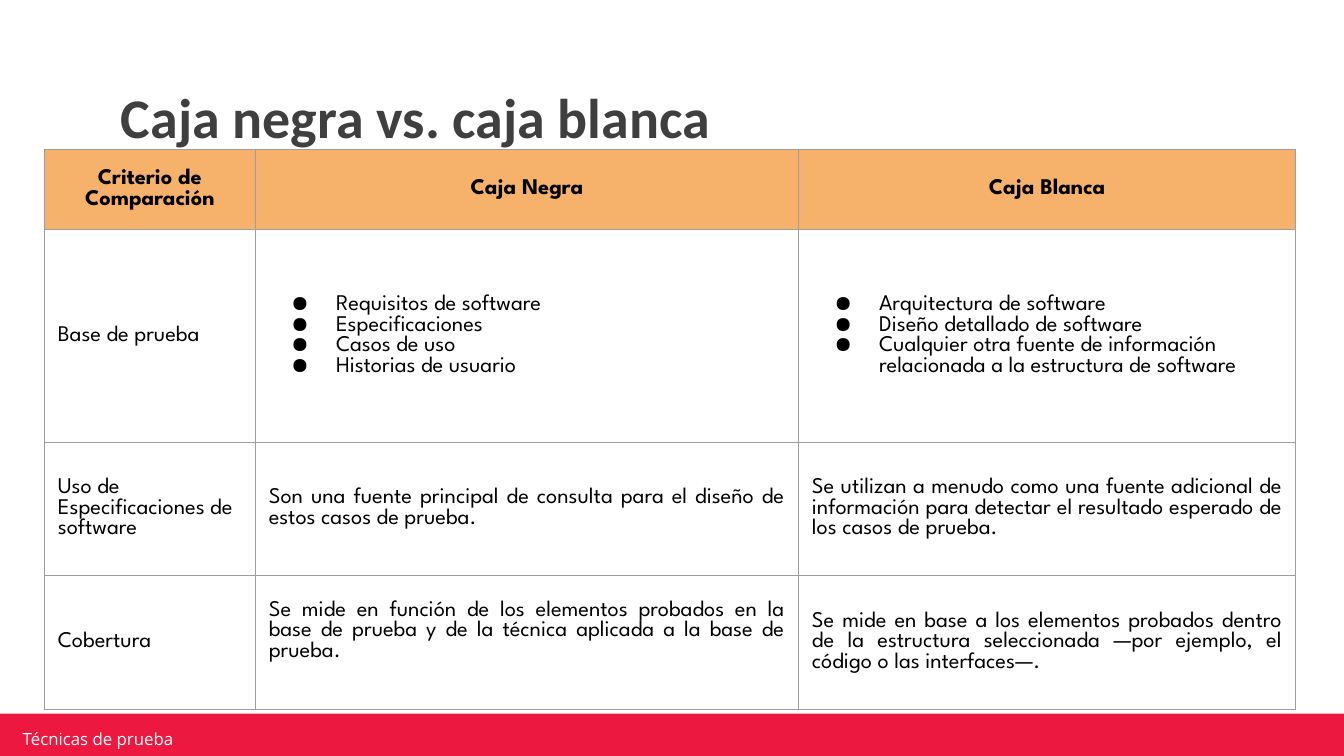
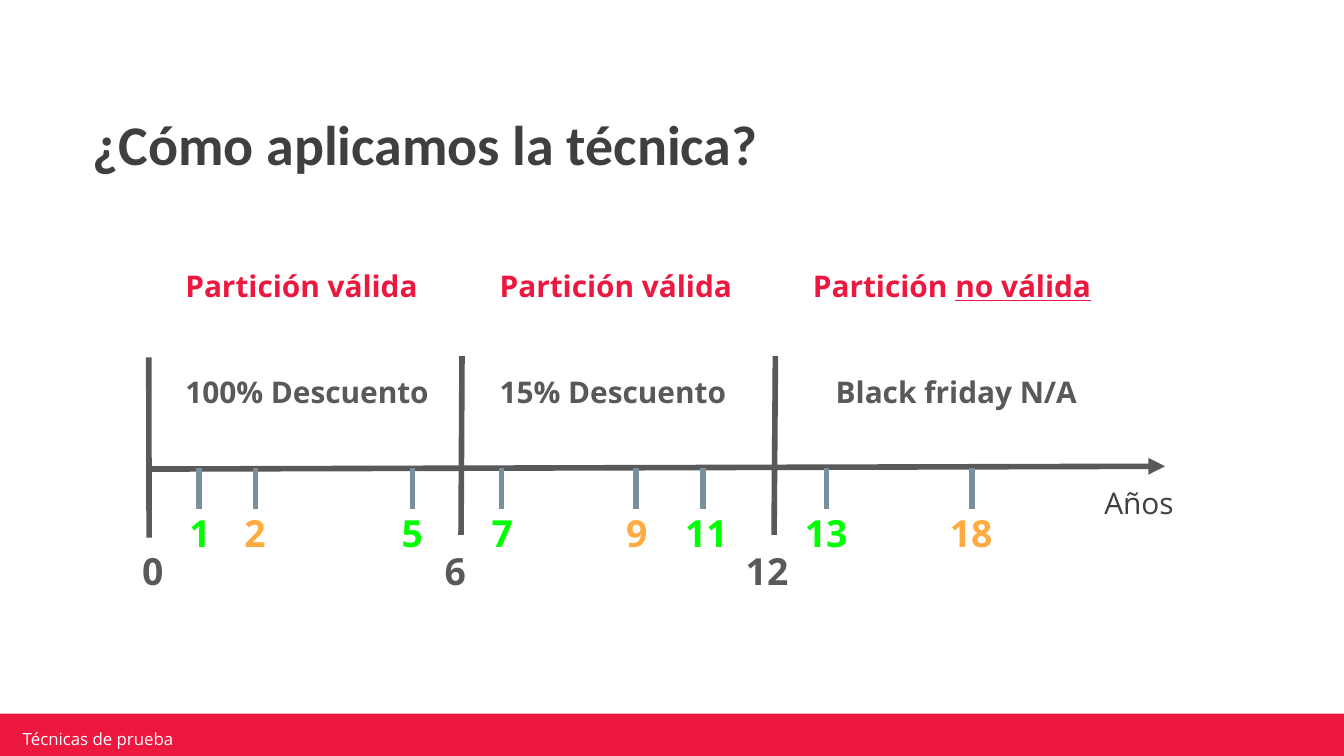
from lxml.etree import SubElement
from pptx import Presentation
from pptx.dml.color import RGBColor
from pptx.enum.shapes import MSO_CONNECTOR as Link, MSO_SHAPE as Shape
from pptx.enum.text import MSO_ANCHOR as Anchor, MSO_AUTO_SIZE as Fit, PP_ALIGN as Align
from pptx.oxml.ns import qn
from pptx.util import Pt

RED = RGBColor(0xEC, 0x18, 0x3F)
WHITE = RGBColor(0xFF, 0xFF, 0xFF)
BLACK = RGBColor(0, 0, 0)
DARK = RGBColor(0x3F, 0x3F, 0x3F)
GRAY = RGBColor(0x59, 0x59, 0x59)
STEEL = RGBColor(0x78, 0x90, 0x9C)
EDGE = RGBColor(0x9E, 0x9E, 0x9E)
SAND = RGBColor(0xF6, 0xB2, 0x6B)
GREEN = RGBColor(0, 0xFF, 0)
AMBER = RGBColor(0xFF, 0xAB, 0x40)

BODY, HEAD, GRID = "Open Sans", "Calibri", "League Spartan"
PAD = 7.2

FOOTER = "Técnicas de prueba"

# A list in a cell is a bulleted list
ROWS = [
    ("Criterio de Comparación", "Caja Negra", "Caja Blanca"),
    ("Base de prueba",
     ["Requisitos de software", "Especificaciones", "Casos de uso",
      "Historias de usuario"],
     ["Arquitectura de software", "Diseño detallado de software",
      "Cualquier otra fuente de información relacionada a la estructura de software"]),
    ("Uso de Especificaciones de software",
     "Son una fuente principal de consulta para el diseño de estos casos de prueba.",
     "Se utilizan a menudo como una fuente adicional de información para detectar "
     "el resultado esperado de los casos de prueba."),
    ("Cobertura",
     "Se mide en función de los elementos probados en la base de prueba y de la "
     "técnica aplicada a la base de prueba.",
     "Se mide en base a los elementos probados dentro de la estructura seleccionada "
     "—por ejemplo, el código o las interfaces—."),
]
WIDTHS = [113, 291, 266.4]
HEIGHTS = [43.2, 113.8, 71.3, 72]

# Heading (second part underlined), its left and width; offer and its left
PARTS = [
    (("Partición válida",), 92.2, 159, "100% Descuento", 92.2),
    (("Partición válida",), 260.6, 159, "15% Descuento", 260.6),
    (("Partición ", "no válida"), 428.4, 182, "Black friday N/A", 440.6),
]
# Limit, line top and bottom as (x, y), label left and width
LIMITS = [
    ("0", (79.7, 191.5), (79.9, 288), 69.1, 32.4),
    ("6", (247.5, 190.8), (247, 286.6), 231.1, 32.4),
    ("12", (415.4, 190.8), (414.7, 286.6), 392.4, 62),
]
# Age, tick x, label left, colour
AGES = [
    ("1", 106.6, 94.3, GREEN), ("2", 136.8, 123.8, AMBER),
    ("5", 221, 208.1, GREEN), ("7", 268.6, 256.3, GREEN),
    ("9", 340.6, 328.3, AMBER), ("11", 376.6, 360, GREEN),
    ("13", 442.8, 424.1, GREEN), ("18", 520.6, 501.8, AMBER),
]


def write(frame, *paras, size=16, font=BODY, color=GRAY, bold=False,
          align=Align.LEFT, before=0, lead=None, bullet=False):
    """Fill a text frame; in a tuple paragraph, parts after the first are underlined."""
    for i, para in enumerate(paras):
        p = frame.paragraphs[0] if i == 0 else frame.add_paragraph()
        p.alignment, p.space_before = align, Pt(before)
        if lead:
            p.line_spacing = lead
        if bullet:
            props = p._p.get_or_add_pPr()
            props.set("marL", str(Pt(36)))
            props.set("indent", str(Pt(-24)))
            tint = SubElement(props, qn("a:buClr"))
            SubElement(tint, qn("a:srgbClr"), val=str(color))
            SubElement(props, qn("a:buChar"), char="●")
        for j, part in enumerate(para if isinstance(para, tuple) else (para,)):
            run = p.add_run()
            run.text = part
            run.font.name, run.font.size = font, Pt(size)
            run.font.bold, run.font.color.rgb = bold, color
            if j:
                run.font.underline = True


def inset(item, x=PAD, y=PAD):
    item.margin_left = item.margin_right = Pt(x)
    item.margin_top = item.margin_bottom = Pt(y)


def label(slide, box, *paras, anchor=Anchor.TOP, pad=(PAD, PAD), **form):
    frame = slide.shapes.add_textbox(*map(Pt, box)).text_frame
    frame.word_wrap, frame.vertical_anchor = True, anchor
    inset(frame, *pad)
    write(frame, *paras, **form)


def stroke(slide, start, end, color=GRAY, arrow=False):
    line = slide.shapes.add_connector(Link.STRAIGHT, *map(Pt, start + end))
    line.line.color.rgb, line.line.width = color, Pt(3)
    if arrow:
        SubElement(line.line._get_or_add_ln(), qn("a:tailEnd"), type="triangle")
    SubElement(line._element.spPr, qn("a:effectLst"))


def start(deck, name, box, anchor, align=Align.LEFT):
    """Add a slide with its footer band and title."""
    slide = deck.slides.add_slide(deck.slide_layouts[5])
    band = slide.shapes.add_shape(Shape.RECTANGLE, *map(Pt, (-1.4, 382.3, 722.2, 25.9)))
    band.shadow.inherit = False
    band.fill.solid()
    band.fill.fore_color.rgb = RED
    band.line.fill.background()
    label(slide, (8.6, 390.2, 172, 10.8), FOOTER, anchor=Anchor.MIDDLE,
          pad=(3.6, 1.4), size=9, color=WHITE)
    title = slide.shapes.title
    title.left, title.top, title.width, title.height = map(Pt, box)
    frame = title.text_frame
    frame.auto_size, frame.word_wrap = Fit.NONE, True
    frame.vertical_anchor = anchor
    inset(frame)
    write(frame, name, size=30, font=HEAD, color=DARK, bold=True, align=align, lead=0.9)
    return slide


def border(cell):
    props = cell._tc.get_or_add_tcPr()
    for side in ("lnL", "lnR", "lnT", "lnB"):
        line = SubElement(props, qn("a:" + side), w=str(Pt(0.75)))
        fill = SubElement(line, qn("a:solidFill"))
        SubElement(fill, qn("a:srgbClr"), val=str(EDGE))


def compare(deck):
    slide = start(deck, "Caja negra vs. caja blanca", (57.6, 38.2, 607, 49.7), Anchor.BOTTOM)
    box = (23.8, 79.9, sum(WIDTHS), sum(HEIGHTS))
    table = slide.shapes.add_table(len(ROWS), len(WIDTHS), *map(Pt, box)).table
    table.horz_banding = False
    for col, width in zip(table.columns, WIDTHS):
        col.width = Pt(width)
    for r, (row, height) in enumerate(zip(ROWS, HEIGHTS)):
        table.rows[r].height = Pt(height)
        for c, text in enumerate(row):
            cell = table.cell(r, c)
            border(cell)
            inset(cell)
            cell.vertical_anchor = Anchor.MIDDLE
            if r == 0:
                cell.fill.solid()
                cell.fill.fore_color.rgb = SAND
            else:
                cell.fill.background()
            items = isinstance(text, list)
            align = (Align.CENTER if r == 0 else
                     Align.LEFT if c == 0 or items else Align.JUSTIFY)
            write(cell.text_frame, *(text if items else [text]), size=12, font=GRID,
                  color=BLACK, bold=r == 0, align=align, bullet=items)
    table.cell(3, 1).margin_bottom = Pt(19)


def apply(deck):
    slide = start(deck, "¿Cómo aplicamos la técnica?", (42.5, 33.8, 607, 90.7),
                  Anchor.MIDDLE, Align.JUSTIFY)
    form = dict(align=Align.JUSTIFY, before=6)
    stroke(slide, (79.2, 251.3), (624.2, 249.8), arrow=True)
    for head, left, width, offer, x in PARTS:
        label(slide, (left, 136, width, 28), head, color=RED, bold=True, **form)
        label(slide, (x, 195.8, 159, 28), offer, anchor=Anchor.MIDDLE, bold=True, **form)
    for limit, top, base, left, width in LIMITS:
        stroke(slide, top, base)
        label(slide, (left, 286.6, width, 50.4), limit, size=20, bold=True, **form)
    for age, x, left, color in AGES:
        stroke(slide, (x, 250.6), (x, 272.9), STEEL)
        width = 20.9 if len(age) == 1 else 43.2
        label(slide, (left, 269.3, width, 32.4), age, anchor=Anchor.MIDDLE,
              size=20, color=color, bold=True, **form)
    label(slide, (584.6, 252.7, 64.8, 38.2), "Años", color=DARK, **form)


def main():
    deck = Presentation()
    deck.slide_width, deck.slide_height = Pt(720), Pt(405)
    compare(deck)
    apply(deck)
    deck.save("out.pptx")


if __name__ == "__main__":
    main()
